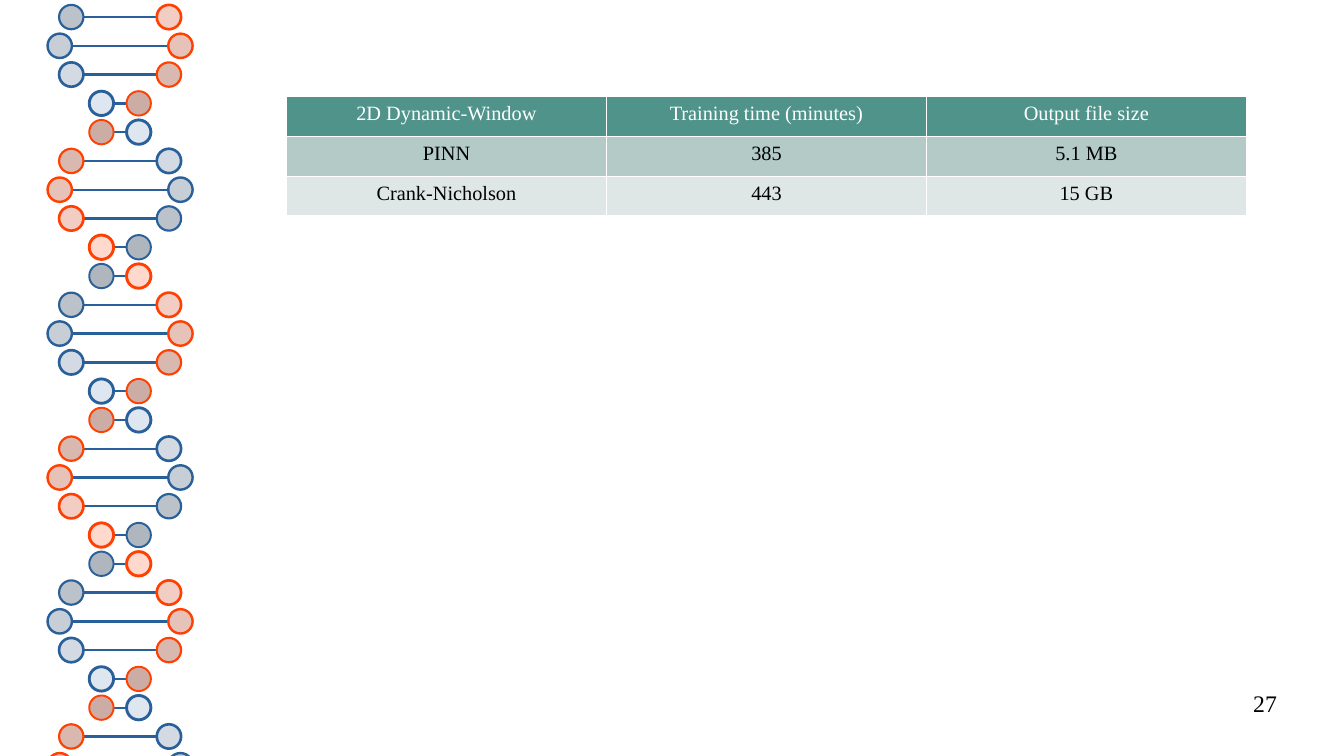
from math import cos, pi

from lxml import etree
from pptx import Presentation
from pptx.dml.color import RGBColor
from pptx.enum.shapes import MSO_CONNECTOR, MSO_SHAPE
from pptx.enum.text import PP_ALIGN
from pptx.oxml.ns import qn
from pptx.util import Inches, Pt

STRAIGHT = MSO_CONNECTOR.STRAIGHT
ELLIPSE = MSO_SHAPE.OVAL
CENTER, RIGHT = PP_ALIGN.CENTER, PP_ALIGN.RIGHT

WIDTH, HEIGHT = 11.02, 6.2
FONT = "Times New Roman"
COLORS = {
    "blue": "2A6099", "red": "FF4000",
    "header": "50938A", "odd_row": "B3CAC7", "even_row": "DEE7E5",
    "white": "FFFFFF", "black": "000000",
}
# Fills and outline widths run from the far side of the helix to the near side
BLUE_FILLS = ["AFB6BD", "BCC2C9", "C7CED6", "D3DAE3", "DEE6EF"]
RED_FILLS = ["CCADA5", "D9B8AF", "E6C2B9", "F2CDC4", "FFD8CE"]
OUTLINES = [1.13, 1.28, 1.42, 1.56, 1.7]
BLUE_DEPTHS = [1, 2, 3, 4, 4, 3, 2, 1, 0, 0]
RUNGS_PER_TURN = len(BLUE_DEPTHS)
RUNG_COUNT = 27
BEAD = 0.2

TABLE_ROWS = [
    ["2D Dynamic-Window", "Training time (minutes)", "Output file size"],
    ["PINN", "385", "5.1 MB"],
    ["Crank-Nicholson", "443", "15 GB"],
]


def color(name):
    return RGBColor.from_string(COLORS.get(name, name))


def add_bead(slide, center_x, center_y, fill, outline, width):
    bead = slide.shapes.add_shape(
        ELLIPSE, Inches(center_x - BEAD / 2), Inches(center_y - BEAD / 2),
        Inches(BEAD), Inches(BEAD))
    bead.shadow.inherit = False
    bead.fill.solid()
    bead.fill.fore_color.rgb = color(fill)
    bead.line.color.rgb = color(outline)
    bead.line.width = Pt(width)


def add_bond(slide, left, right, y):
    bond = slide.shapes.add_connector(
        STRAIGHT, Inches(left), Inches(y), Inches(right), Inches(y))
    bond.line.color.rgb = color("blue")
    bond.line.width = Pt(1.42)
    etree.SubElement(bond._element.spPr, qn("a:effectLst"))


def add_helix(slide, left, top, width, pitch):
    """Stack rungs whose two beads swing around the axis as cosines."""
    swing = (width - BEAD) / 2
    axis = left + width / 2
    for rung in range(RUNG_COUNT):
        y = top + BEAD / 2 + rung * pitch
        offset = -swing * cos(2 * pi * (rung - 1) / RUNGS_PER_TURN)
        reach = abs(offset) - BEAD / 2
        if y < HEIGHT:
            add_bond(slide, axis - reach, axis + reach, y)
        depth = BLUE_DEPTHS[rung % RUNGS_PER_TURN]
        add_bead(slide, axis + offset, y, BLUE_FILLS[depth], "blue", OUTLINES[depth])
        depth = len(OUTLINES) - 1 - depth
        add_bead(slide, axis - offset, y, RED_FILLS[depth], "red", OUTLINES[depth])


def add_borders(cell):
    properties = cell._tc.get_or_add_tcPr()
    for index, side in enumerate(("a:lnL", "a:lnR", "a:lnT", "a:lnB")):
        border = etree.Element(qn(side), w=str(Pt(0.57)))
        fill = etree.SubElement(border, qn("a:solidFill"))
        etree.SubElement(fill, qn("a:srgbClr"), val=COLORS["white"])
        properties.insert(index, border)


def add_results_table(slide, left, top, width, height):
    table = slide.shapes.add_table(
        len(TABLE_ROWS), len(TABLE_ROWS[0]), Inches(left), Inches(top),
        Inches(width), Inches(height)).table
    fills = ["header", "odd_row", "even_row"]
    for row, (texts, fill) in enumerate(zip(TABLE_ROWS, fills)):
        for column, text in enumerate(texts):
            cell = table.cell(row, column)
            cell.margin_left = cell.margin_right = Inches(0.04)
            cell.margin_top = cell.margin_bottom = Inches(0.05)
            cell.fill.solid()
            cell.fill.fore_color.rgb = color(fill)
            add_borders(cell)
            cell.text = text
            paragraph = cell.text_frame.paragraphs[0]
            paragraph.alignment = CENTER
            paragraph.font.name = FONT
            paragraph.font.size = Pt(12)
            paragraph.font.bold = False
            paragraph.font.color.rgb = color("black" if row else "white")


def add_page_number(slide, left, top, width, height):
    frame = slide.shapes.add_textbox(
        Inches(left), Inches(top), Inches(width), Inches(height)).text_frame
    frame.word_wrap = True
    frame.margin_left = frame.margin_right = 0
    frame.margin_top = frame.margin_bottom = 0
    frame.text = "27"
    paragraph = frame.paragraphs[0]
    paragraph.alignment = RIGHT
    paragraph.font.name = FONT
    paragraph.font.size = Pt(14)
    paragraph.font.color.rgb = color("black")


def main():
    presentation = Presentation()
    presentation.slide_width = Inches(WIDTH)
    presentation.slide_height = Inches(HEIGHT)
    slide = presentation.slides.add_slide(presentation.slide_layouts[6])
    add_helix(slide, left=0.39, top=0.04, width=1.19, pitch=2.36 / RUNGS_PER_TURN)
    add_results_table(slide, left=2.35, top=0.79, width=7.87, height=0.98)
    add_page_number(slide, left=7.9, top=5.65, width=2.57, height=0.43)
    presentation.save("out.pptx")


if __name__ == "__main__":
    main()
